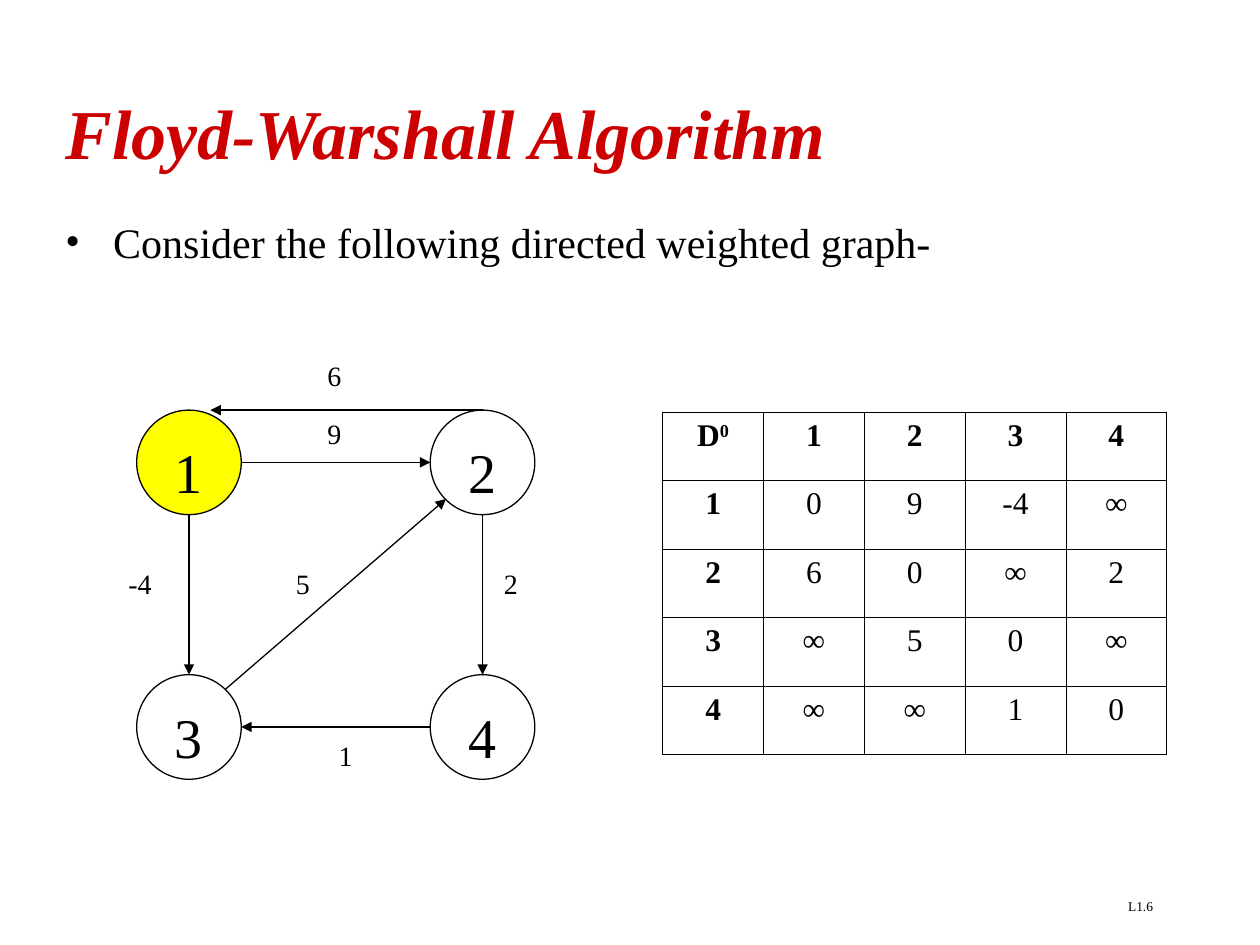
from lxml.etree import SubElement
from pptx import Presentation
from pptx.dml.color import RGBColor
from pptx.enum.shapes import MSO_CONNECTOR as Connector, MSO_SHAPE as Shape
from pptx.enum.text import MSO_ANCHOR as Anchor, MSO_AUTO_SIZE as AutoSize, PP_ALIGN as Align
from pptx.oxml.ns import qn
from pptx.util import Inches, Pt

BLACK = RGBColor(0, 0, 0)
RED = RGBColor(0xCC, 0, 0)
YELLOW = RGBColor(0xFF, 0xFF, 0)
FONT = "Times New Roman"

NODE_SIZE = 0.83
RADIUS = NODE_SIZE / 2
LEFT, RIGHT = 1.5, 3.83
TOP, BOTTOM = 3.67, 5.77
NODES = {"2": (RIGHT, TOP), "4": (RIGHT, BOTTOM), "3": (LEFT, BOTTOM), "1": (LEFT, TOP)}
EDGES = [
    ((LEFT + RADIUS, TOP), (RIGHT - RADIUS, TOP)),
    ((RIGHT, TOP - RADIUS), (1.67, TOP - RADIUS)),
    ((LEFT, TOP + RADIUS), (LEFT, BOTTOM - RADIUS)),
    ((RIGHT, TOP + RADIUS), (RIGHT, BOTTOM - RADIUS)),
    ((RIGHT - RADIUS, BOTTOM), (LEFT + RADIUS, BOTTOM)),
    ((1.79, 5.47), (3.54, 3.96)),
]
WEIGHTS = [
    ("6", 2.5, 2.8, 0.34),
    ("9", 2.5, 3.26, 0.34),
    ("-4", 0.92, 4.45, 0.49),
    ("1", 2.59, 5.81, 0.34),
    ("5", 2.25, 4.45, 0.34),
    ("2", 3.9, 4.45, 0.34),
]
DISTANCES = [
    ["D0", "1", "2", "3", "4"],
    ["1", "0", "9", "-4", "∞"],
    ["2", "6", "0", "∞", "2"],
    ["3", "∞", "5", "0", "∞"],
    ["4", "∞", "∞", "1", "0"],
]


def style(para, size, align=Align.LEFT, color=BLACK, bold=False, italic=False):
    para.alignment = align
    for span in para.runs:
        font = span.font
        font.name, font.size, font.bold, font.italic = FONT, Pt(size), bold, italic
        font.color.rgb = color


def add_title(page, text):
    title = page.shapes.title
    title.left, title.top, title.width, title.height = map(Inches, (0.42, 0.42, 9.33, 1.25))
    title.text_frame.text = text
    title.text_frame.vertical_anchor = Anchor.MIDDLE
    style(title.text_frame.paragraphs[0], 40, color=RED, bold=True, italic=True)


def add_text(page, text, left, top, width, height, size, align=Align.LEFT, grow=True):
    box = page.shapes.add_textbox(*map(Inches, (left, top, width, height)))
    frame = box.text_frame
    frame.text = text
    frame.word_wrap = True
    frame.auto_size = AutoSize.SHAPE_TO_FIT_TEXT if grow else AutoSize.NONE
    style(frame.paragraphs[0], size, align)
    return frame.paragraphs[0]


def add_bullet(para):
    properties = para._p.get_or_add_pPr()
    properties.set("marL", str(Inches(0.38)))
    properties.set("indent", str(Inches(-0.38)))
    SubElement(properties, qn("a:buFont"), typeface=FONT)
    SubElement(properties, qn("a:buChar"), char="•")


def add_node(page, label, center, fill=None):
    x, y = center
    node = page.shapes.add_shape(
        Shape.OVAL, *map(Inches, (x - RADIUS, y - RADIUS, NODE_SIZE, NODE_SIZE)))
    node.shadow.inherit = False
    if fill is None:
        node.fill.background()
    else:
        node.fill.solid()
        node.fill.fore_color.rgb = fill
    node.line.color.rgb = BLACK
    node.line.width = Pt(0.75)
    frame = node.text_frame
    frame.text = label
    frame.vertical_anchor = Anchor.TOP
    frame.margin_top, frame.margin_bottom = Inches(0.1), 0
    style(frame.paragraphs[0], 32, Align.CENTER)


def add_edge(page, start, end):
    edge = page.shapes.add_connector(Connector.STRAIGHT, *map(Inches, start + end))
    edge.line.color.rgb = BLACK
    edge.line.width = Pt(0.75)
    SubElement(edge.line._get_or_add_ln(), qn("a:tailEnd"), type="triangle")
    SubElement(edge._element.spPr, qn("a:effectLst"))


def add_borders(cell):
    properties = cell._tc.get_or_add_tcPr()
    for position, side in enumerate(("a:lnL", "a:lnR", "a:lnT", "a:lnB")):
        line = SubElement(properties, qn(side), w=str(Pt(0.45)))
        fill = SubElement(line, qn("a:solidFill"))
        SubElement(fill, qn("a:srgbClr"), val=str(BLACK))
        properties.remove(line)
        properties.insert(position, line)


def add_matrix(page, rows):
    frame = page.shapes.add_table(
        len(rows), len(rows[0]), *map(Inches, (5.26, 3.27, 4, 2.72)))
    table = frame.table
    for r, values in enumerate(rows):
        for c, value in enumerate(values):
            cell = table.cell(r, c)
            cell.fill.background()
            add_borders(cell)
            para = cell.text_frame.paragraphs[0]
            for part in value if value.startswith("D") else [value]:
                para.add_run().text = part
            style(para, 18, Align.CENTER, bold=r == 0 or c == 0)
    exponent = table.cell(0, 0).text_frame.paragraphs[0].runs[1]
    exponent.font._element.set("baseline", "30000")


def main():
    deck = Presentation()
    deck.slide_width, deck.slide_height = Inches(10), Inches(7.5)
    page = deck.slides.add_slide(deck.slide_layouts[5])
    add_text(page, "L1.6", 7.17, 7.08, 2.08, 0.25, 7.7, Align.RIGHT, grow=False)
    add_title(page, "Floyd-Warshall Algorithm")
    intro = add_text(page, "Consider the following directed weighted graph-",
                     0.42, 1.67, 9.08, 0.5, 24, Align.JUSTIFY)
    add_bullet(intro)
    for label, center in NODES.items():
        add_node(page, label, center, YELLOW if label == "1" else None)
    add_matrix(page, DISTANCES)
    for start, end in EDGES:
        add_edge(page, start, end)
    for weight, left, top, width in WEIGHTS:
        add_text(page, weight, left, top, width, 0.37, 16)
    deck.save("out.pptx")


if __name__ == "__main__":
    main()
